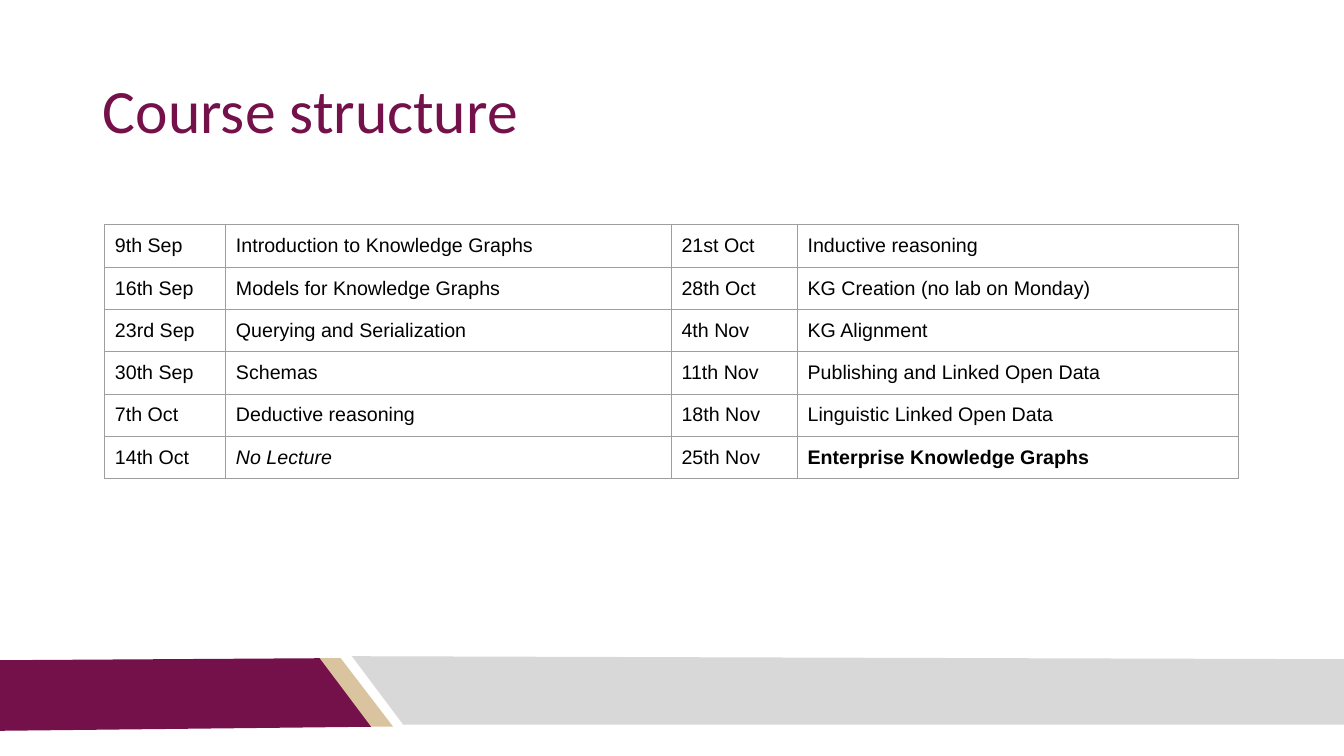
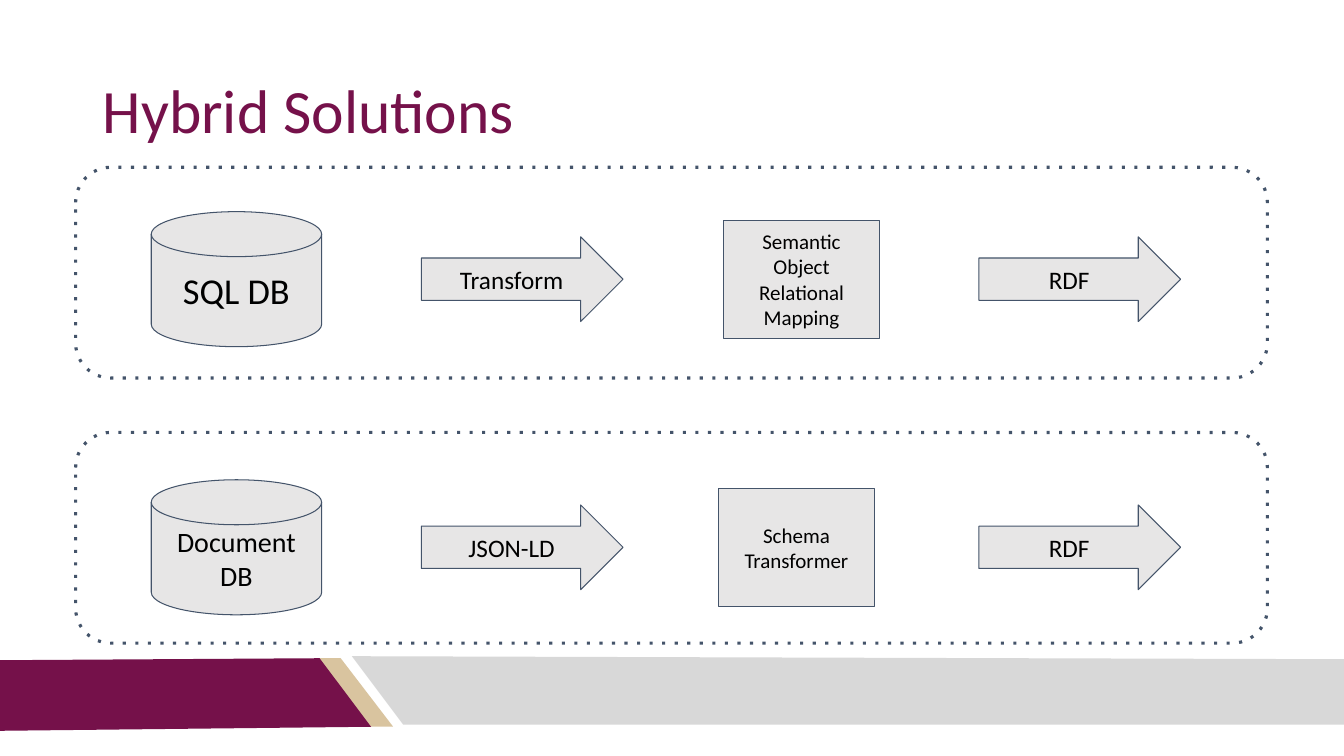
from dataclasses import dataclass

from pptx import Presentation
from pptx.dml.color import RGBColor as RGB
from pptx.enum.dml import MSO_LINE as Dash
from pptx.enum.shapes import MSO_SHAPE as Kind
from pptx.enum.text import MSO_ANCHOR as Anchor, PP_ALIGN as Align
from pptx.oxml import parse_xml
from pptx.oxml.ns import nsdecls, qn
from pptx.util import Inches, Pt

WIDE, HIGH = 13.33, 7.5

# Course table: (text, style) where style is "", "b" or "i"
COURSE = [
    ("9th Sep", "Introduction to Knowledge Graphs", "21st Oct", "Inductive reasoning"),
    ("16th Sep", "Models for Knowledge Graphs", "28th Oct", "KG Creation (no lab on Monday)"),
    ("23rd Sep", "Querying and Serialization", "4th Nov", "KG Alignment"),
    ("30th Sep", "Schemas", "11th Nov", "Publishing and Linked Open Data"),
    ("7th Oct", "Deductive reasoning", "18th Nov", "Linguistic Linked Open Data"),
    ("14th Oct", "No Lecture", "25th Nov", "Enterprise Knowledge Graphs"),
]
ITALIC = {"No Lecture"}
BOLD = {"Enterprise Knowledge Graphs"}
COLS = (1.2, 4.42, 1.25, 4.37)
ROW = 0.42

# Flows: panel top, middle of the steps, steps as (part, left, text, size)
FLOWS = [
    (1.66, 2.77, [
        ("store", 1.5, "SQL DB", 26),
        ("arrow", 4.18, "Transform", 18),
        ("box", 7.18, "Semantic Object Relational Mapping", 15),
        ("arrow", 9.71, "RDF", 18),
    ]),
    (4.29, 5.43, [
        ("store", 1.5, "Document DB", 20),
        ("arrow", 4.18, "JSON-LD", 18),
        ("box", 7.13, "Schema Transformer", 15),
        ("arrow", 9.71, "RDF", 18),
    ]),
]
PARTS = {
    "store": (Kind.FLOWCHART_MAGNETIC_DISK, 1.69, 1.34),
    "arrow": (Kind.RIGHT_ARROW, 2, 0.84),
    "box": (Kind.RECTANGLE, 1.54, 1.17),
}


@dataclass(frozen=True)
class Theme:
    plum: RGB = RGB.from_string("75114A")
    sand: RGB = RGB.from_string("D9C49F")
    grey: RGB = RGB.from_string("D8D8D8")
    pale: RGB = RGB.from_string("E7E6E6")
    slate: RGB = RGB.from_string("44546A")
    ink: RGB = RGB.from_string("000000")
    rule: str = "9E9E9E"
    head: str = "Calibri"
    body: str = "Arial"
    title: int = 44
    cell: int = 14


T = Theme()

BANDS = [
    (T.sand, [(3.16, 6.53), (3.38, 6.53), (3.9, 7.21), (3.67, 7.21)]),
    (T.plum, [(0, 6.55), (3.17, 6.53), (3.68, 7.21), (0, 7.25)]),
    (T.grey, [(WIDE, 7.19), (4, 7.19), (3.49, 6.51), (WIDE, 6.54)]),
]


def write(par, text, font, size, color):
    run = par.add_run()
    run.text = text
    run.font.name = font
    run.font.size = Pt(size)
    run.font.color.rgb = color
    return run


def add_bands(slide, layout):
    """Draw the footer bands and hand them to the layout that slides share."""
    for color, points in BANDS:
        first, *rest = [(Inches(x), Inches(y)) for x, y in points]
        pen = slide.shapes.build_freeform(*first)
        pen.add_line_segments(rest, close=True)
        band = pen.convert_to_shape()
        band.fill.solid()
        band.fill.fore_color.rgb = color
        band.line.fill.background()
        band.shadow.inherit = False
        layout.shapes.element.append(band.element)


def add_slide(deck, layout, title):
    slide = deck.slides.add_slide(layout)
    frame = slide.shapes.title.text_frame
    frame.vertical_anchor = Anchor.MIDDLE
    par = frame.paragraphs[0]
    par.alignment = Align.LEFT
    par.line_spacing = 0.9
    write(par, title, T.head, T.title, T.plum)
    return slide


def add_edges(cell):
    props = cell._tc.get_or_add_tcPr()
    for spot, side in enumerate(("lnL", "lnR", "lnT", "lnB")):
        props.insert(spot, parse_xml(
            f'<a:{side} {nsdecls("a")} w="{Pt(0.75)}"><a:solidFill>'
            f'<a:srgbClr val="{T.rule}"/></a:solidFill></a:{side}>'))


def add_course(slide):
    grid = slide.shapes.add_table(
        len(COURSE), len(COLS), Inches(1.04), Inches(2.23),
        Inches(sum(COLS)), Inches(ROW * len(COURSE))).table
    grid.first_row = grid.horz_banding = False
    for col, width in zip(grid.columns, COLS):
        col.width = Inches(width)
    for row, texts in zip(grid.rows, COURSE):
        row.height = Inches(ROW)
        for cell, text in zip(row.cells, texts):
            cell.fill.background()
            cell.vertical_anchor = Anchor.MIDDLE
            run = write(cell.text_frame.paragraphs[0], text, T.body, T.cell, T.ink)
            run.font.bold = text in BOLD
            run.font.italic = text in ITALIC
            add_edges(cell)


def add_part(slide, kind, left, top, width, height, weight):
    part = slide.shapes.add_shape(
        kind, Inches(left), Inches(top), Inches(width), Inches(height))
    part.shadow.inherit = False
    part.line.color.rgb = T.slate
    part.line.width = Pt(weight)
    return part


def add_panel(slide, top):
    panel = add_part(slide, Kind.ROUNDED_RECTANGLE, 0.75, top, 11.82, 2.09, 2.25)
    panel.fill.background()
    panel.line.dash_style = Dash.ROUND_DOT
    panel.element.find(".//" + qn("a:prstDash")).set("val", "dot")


def add_step(slide, mid, name, left, text, size):
    kind, width, height = PARTS[name]
    step = add_part(slide, kind, left, mid - height / 2, width, height, 0.75)
    step.fill.solid()
    step.fill.fore_color.rgb = T.pale
    frame = step.text_frame
    frame.word_wrap = True
    frame.vertical_anchor = Anchor.MIDDLE
    frame.margin_left = frame.margin_right = Inches(0.1)
    frame.margin_top = frame.margin_bottom = Inches(0.1)
    par = frame.paragraphs[0]
    par.alignment = Align.CENTER
    write(par, text, T.head, size, T.ink)


def main():
    deck = Presentation()
    deck.slide_width, deck.slide_height = Inches(WIDE), Inches(HIGH)
    layout = deck.slide_layouts.get_by_name("Title Only")
    head = layout.placeholders[0]
    head.left, head.top = Inches(0.92), Inches(0.4)
    head.width, head.height = Inches(11.5), Inches(1.45)

    course = add_slide(deck, layout, "Course structure")
    add_bands(course, layout)
    add_course(course)

    hybrid = add_slide(deck, layout, "Hybrid Solutions")
    for top, mid, steps in FLOWS:
        add_panel(hybrid, top)
        for step in steps:
            add_step(hybrid, mid, *step)

    deck.save("out.pptx")


if __name__ == "__main__":
    main()
